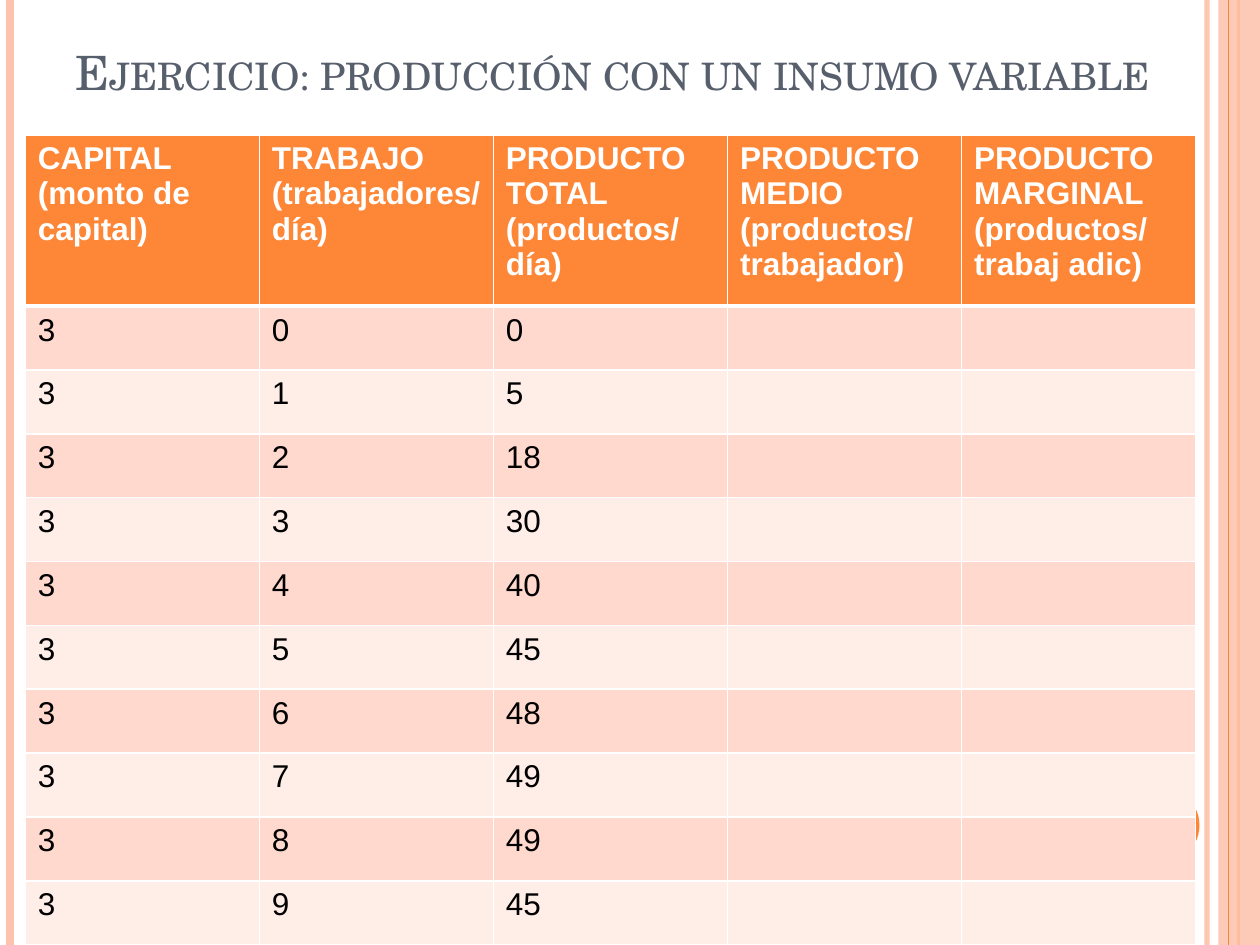
from lxml.etree import SubElement
from pptx import Presentation
from pptx.dml.color import RGBColor
from pptx.enum.shapes import MSO_CONNECTOR as Connector, MSO_SHAPE as Shape
from pptx.enum.text import MSO_ANCHOR as Anchor
from pptx.oxml.ns import qn
from pptx.util import Inches, Pt

ORANGE, PEACH, WHITE, BLACK, SLATE = "FE8637", "FEC3AE", "FFFFFF", "000000", "575F6D"
BANDS = ("FFD9CE", "FFEDE8")
TITLE = "Ejercicio: producción con un insumo variable"
HEADERS = (
    "CAPITAL\n(monto de capital)",
    "TRABAJO\n(trabajadores/día)",
    "PRODUCTO TOTAL\n(productos/día)",
    "PRODUCTO MEDIO\n(productos/trabajador)",
    "PRODUCTO MARGINAL\n(productos/trabaj adic)",
)
CAPITAL = 3
TOTAL_PRODUCT = (0, 5, 18, 30, 40, 45, 48, 49, 49, 45)


def rgb(value):
    return RGBColor.from_string(value)


def set_alpha(part, percent):
    for color in part._element.spPr.iter(qn("a:srgbClr")):
        SubElement(color, qn("a:alpha"), val=str(percent * 1000))


def style_text(text_frame, font_name, size, color, bold=False):
    for paragraph in text_frame.paragraphs:
        for run in paragraph.runs:
            run.font.name = font_name
            run.font.size = Pt(size)
            run.font.bold = bold
            run.font.color.rgb = rgb(color)


def add_stripe(slide, x, height, color, width, alpha=100):
    stripe = slide.shapes.add_connector(
        Connector.STRAIGHT, Inches(x), 0, Inches(x), Inches(height))
    stripe.line.color.rgb = rgb(color)
    stripe.line.width = Pt(width)
    SubElement(stripe._element.spPr, qn("a:effectLst"))
    if alpha < 100:
        set_alpha(stripe, alpha)


def add_block(slide, kind, left, top, width, height, color):
    block = slide.shapes.add_shape(
        kind, Inches(left), Inches(top), Inches(width), Inches(height))
    block.shadow.inherit = False
    block.fill.solid()
    block.fill.fore_color.rgb = rgb(color)
    block.line.fill.background()
    return block


def add_frame(slide, height):
    """Vertical stripes on both edges, and the page number disc."""
    add_stripe(slide, 9.58, height, PEACH, 3, alpha=93)
    add_stripe(slide, 0.08, height, PEACH, 4.5)
    add_stripe(slide, 9.83, height, ORANGE, 1.5)
    band = add_block(slide, Shape.RECTANGLE, 9.67, 0, 0.33, height, PEACH)
    set_alpha(band, 87)
    add_stripe(slide, 9.75, height, ORANGE, 0.75)
    add_block(slide, Shape.OVAL, 8.92, 6.25, 0.6, 0.6, ORANGE)


def add_title(slide, left, top, width, height):
    title = slide.shapes.add_textbox(
        Inches(left), Inches(top), Inches(width), Inches(height))
    frame = title.text_frame
    frame.word_wrap = True
    frame.vertical_anchor = Anchor.BOTTOM
    frame.text = TITLE
    style_text(frame, "TeX Gyre Schola", 27, SLATE)
    frame.paragraphs[0].runs[0].font._element.set("cap", "small")


def set_borders(cell, top, bottom):
    properties = cell._tc.get_or_add_tcPr()
    for side, width in (("L", 1), ("R", 1), ("T", top), ("B", bottom)):
        border = SubElement(properties, qn(f"a:ln{side}"), w=str(Pt(width)))
        fill = SubElement(border, qn("a:solidFill"))
        SubElement(fill, qn("a:srgbClr"), val=WHITE)


def add_production_table(slide, left, top, width, height, header_height):
    rows = [HEADERS]
    rows += [(CAPITAL, labor, total, "", "") for labor, total in enumerate(TOTAL_PRODUCT)]
    table = slide.shapes.add_table(
        len(rows), len(HEADERS),
        Inches(left), Inches(top), Inches(width), Inches(height)).table
    for column in table.columns:
        column.width = Inches(width / len(HEADERS))
    for i, values in enumerate(rows):
        is_header = i == 0
        body_height = (height - header_height) / len(TOTAL_PRODUCT)
        table.rows[i].height = Inches(header_height if is_header else body_height)
        for j, value in enumerate(values):
            cell = table.cell(i, j)
            cell.text_frame.text = str(value)
            style_text(cell.text_frame, "Arial", 18,
                       WHITE if is_header else BLACK, bold=is_header)
            # The rule under the header is thicker than the others
            set_borders(cell, top=3 if i == 1 else 1, bottom=3 if is_header else 1)
            cell.fill.solid()
            cell.fill.fore_color.rgb = rgb(ORANGE if is_header else BANDS[(i - 1) % 2])


def main():
    prs = Presentation()
    prs.slide_width, prs.slide_height = Inches(10), Inches(7.5)
    slide = prs.slides.add_slide(prs.slide_layouts[6])
    add_frame(slide, 7.5)
    add_title(slide, 0.5, 0.21, 8.91, 0.63)
    add_production_table(slide, 0.2, 1.07, 9.29, 6.43, header_height=1.36)
    prs.save("out.pptx")


if __name__ == "__main__":
    main()
